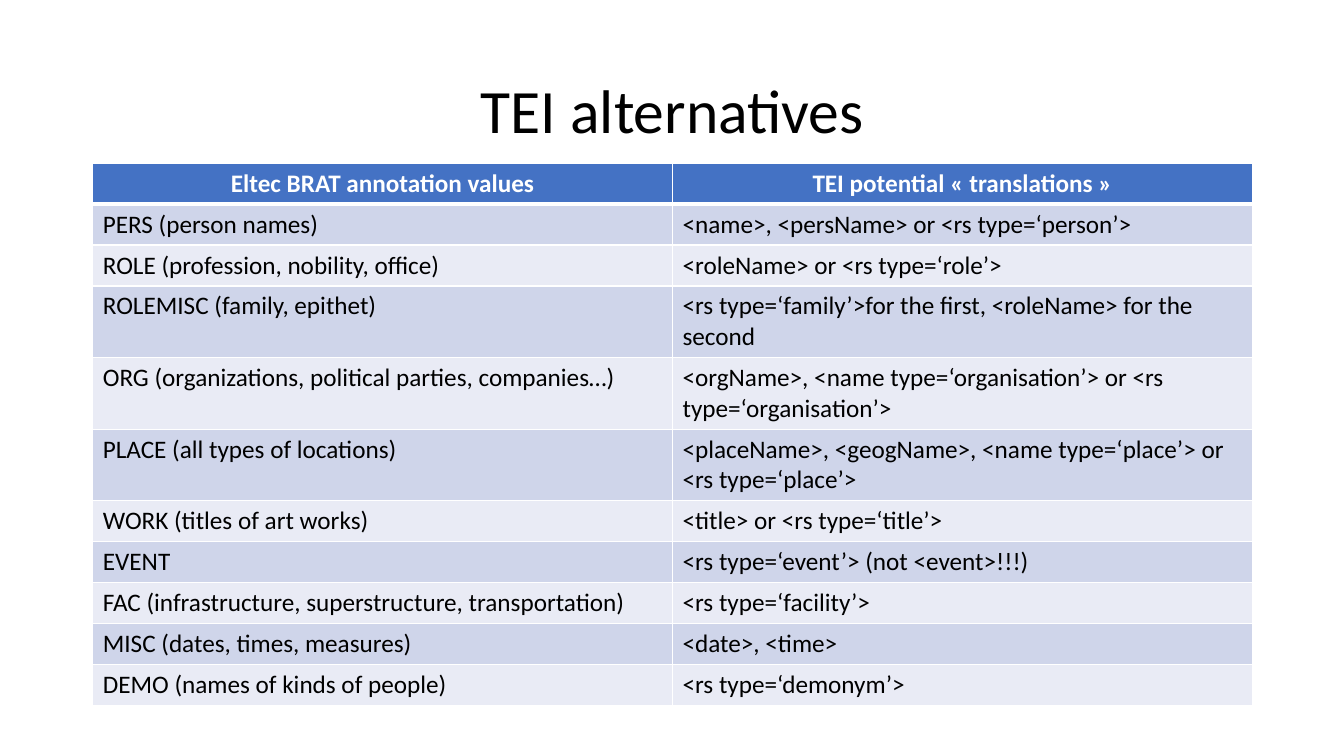
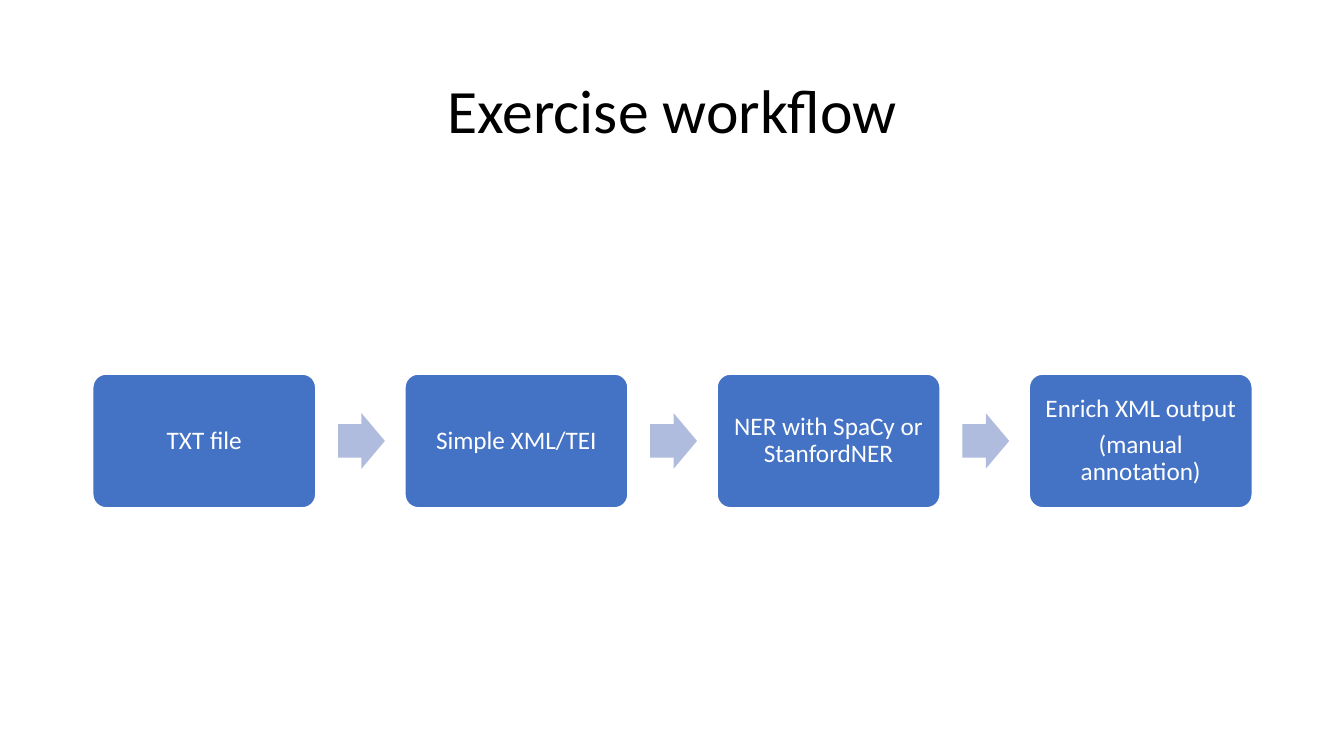
from collections import namedtuple

from lxml.etree import SubElement
from pptx import Presentation
from pptx.dml.color import RGBColor
from pptx.enum.shapes import MSO_SHAPE as Preset
from pptx.enum.text import MSO_ANCHOR as Anchor, MSO_AUTO_SIZE as AutoSize, PP_ALIGN as Align
from pptx.oxml.ns import qn
from pptx.util import Inches, Pt

BLACK = RGBColor(0x00, 0x00, 0x00)
WHITE = RGBColor(0xFF, 0xFF, 0xFF)
BLUE = RGBColor(0x44, 0x72, 0xC4)
ARROW_BLUE = RGBColor(0xB0, 0xBC, 0xDE)
BANDS = (RGBColor(0xCF, 0xD5, 0xEA), RGBColor(0xE9, 0xEB, 0xF5))

Box = namedtuple("Box", "left top width height")

SLIDE_WIDTH, SLIDE_HEIGHT = Inches(13.33), Inches(7.5)
MARGIN = Inches(0.92)
CONTENT_WIDTH = Inches(11.5)
TITLE_BOX = Box(MARGIN, Inches(0.4), CONTENT_WIDTH, Inches(1.45))
TABLE_BOX = Box(MARGIN, Inches(1.62), CONTENT_WIDTH, Inches(4.46))
FLOW_BOX = Box(MARGIN, Inches(2), CONTENT_WIDTH, Inches(4.75))

TITLE_FONT = {"name": "Calibri", "size": Pt(44), "bold": False}
BODY_FONT = {"name": "Calibri", "size": Pt(18), "bold": False}
HEADER_FONT = {**BODY_FONT, "bold": True}
TITLE_PARAGRAPH = {"alignment": Align.CENTER, "line_spacing": 0.9}
STEP_PARAGRAPH = {**TITLE_PARAGRAPH, "space_after": Pt(6.3)}
TITLE_FRAME = {"vertical_anchor": Anchor.MIDDLE, "word_wrap": True, "auto_size": AutoSize.NONE}
STEP_FRAME = {
    **TITLE_FRAME,
    **{f"margin_{side}": Inches(0.07) for side in ("left", "top", "right", "bottom")},
}

TAG_ROWS = (
    ("Eltec BRAT annotation values", "TEI potential «\u00a0translations\u00a0»"),
    ("PERS (person names)", "<name>, <persName> or <rs type=‘person’>"),
    ("ROLE (profession, nobility, office)", "<roleName> or <rs type=‘role’>"),
    ("ROLEMISC (family, epithet)",
     "<rs type=‘family’>for the first, <roleName> for the second"),
    ("ORG (organizations, political parties, companies…)",
     "<orgName>, <name type=‘organisation’> or <rs type=‘organisation’>"),
    ("PLACE (all types of locations)",
     "<placeName>, <geogName>, <name type=‘place’> or <rs type=‘place’>"),
    ("WORK (titles of art works)", "<title> or <rs type=‘title’>"),
    ("EVENT", "<rs type=‘event’> (not <event>!!!)"),
    ("FAC (infrastructure, superstructure, transportation)", "<rs type=‘facility’>"),
    ("MISC (dates, times, measures)", "<date>, <time>"),
    ("DEMO (names of kinds of people)", "<rs type=‘demonym’>"),
)

WORKFLOW_STEPS = (
    ("TXT file",),
    ("Simple XML/TEI",),
    ("NER with SpaCy or StanfordNER",),
    ("Enrich XML output", "(manual annotation)"),
)


def apply_format(target, values):
    for attribute, value in values.items():
        setattr(target, attribute, value)


def write_lines(frame, lines, font, color, paragraph_format):
    for index, line in enumerate(lines):
        paragraph = frame.add_paragraph() if index else frame.paragraphs[0]
        apply_format(paragraph, paragraph_format)
        run = paragraph.add_run()
        run.text = line
        apply_format(run.font, font)
        run.font.color.rgb = color


def add_titled_slide(deck, heading):
    slide = deck.slides.add_slide(deck.slide_layouts[5])
    title = slide.shapes.title
    apply_format(title, TITLE_BOX._asdict())
    apply_format(title.text_frame, TITLE_FRAME)
    write_lines(title.text_frame, [heading], TITLE_FONT, BLACK, TITLE_PARAGRAPH)
    return slide


def set_borders(cell, widths):
    properties = cell._tc.get_or_add_tcPr()
    for side, points in widths.items():
        border = SubElement(properties, qn(f"a:ln{side}"), w=str(Pt(points)))
        fill = SubElement(border, qn("a:solidFill"))
        SubElement(fill, qn("a:srgbClr"), val=str(WHITE))


def add_tag_table(slide, box, rows):
    table = slide.shapes.add_table(len(rows), len(rows[0]), *box).table
    for row_index, texts in enumerate(rows):
        is_header = row_index == 0
        fill = BLUE if is_header else BANDS[(row_index - 1) % 2]
        font = HEADER_FONT if is_header else BODY_FONT
        color = WHITE if is_header else BLACK
        alignment = Align.CENTER if is_header else Align.LEFT
        borders = {"L": 1, "R": 1, "T": 3 if row_index == 1 else 1, "B": 3 if is_header else 1}
        for column_index, text in enumerate(texts):
            cell = table.cell(row_index, column_index)
            set_borders(cell, borders)
            cell.fill.solid()
            cell.fill.fore_color.rgb = fill
            write_lines(cell.text_frame, [text], font, color, {"alignment": alignment})


def add_flat_shape(slide, preset, box, fill, adjustments):
    shape = slide.shapes.add_shape(preset, *(round(length) for length in box))
    shape.shadow.inherit = False
    shape.fill.solid()
    shape.fill.fore_color.rgb = fill
    shape.line.fill.background()
    for index, value in enumerate(adjustments):
        shape.adjustments[index] = value
    return shape


def add_workflow(slide, box, steps):
    pitch_share = 1.4
    step_width = box.width / (1 + pitch_share * (len(steps) - 1))
    step_height = 0.6 * step_width
    arrow_width, arrow_height = 0.21 * step_width, 0.25 * step_width
    middle = box.top + box.height / 2
    for index, lines in enumerate(steps):
        left = box.left + index * pitch_share * step_width
        step_box = Box(left, middle - step_height / 2, step_width, step_height)
        step = add_flat_shape(slide, Preset.ROUNDED_RECTANGLE, step_box, BLUE, [0.1])
        step.line.color.rgb = WHITE
        step.line.width = Pt(1)
        apply_format(step.text_frame, STEP_FRAME)
        write_lines(step.text_frame, lines, BODY_FONT, WHITE, STEP_PARAGRAPH)
        if index < len(steps) - 1:
            arrow_box = Box(left + 1.1 * step_width, middle - arrow_height / 2,
                            arrow_width, arrow_height)
            add_flat_shape(slide, Preset.RIGHT_ARROW, arrow_box, ARROW_BLUE, [0.6, 0.5])


def build_deck():
    deck = Presentation()
    apply_format(deck, {"slide_width": SLIDE_WIDTH, "slide_height": SLIDE_HEIGHT})
    add_tag_table(add_titled_slide(deck, "TEI alternatives"), TABLE_BOX, TAG_ROWS)
    add_workflow(add_titled_slide(deck, "Exercise workflow"), FLOW_BOX, WORKFLOW_STEPS)
    return deck


build_deck().save("out.pptx")
